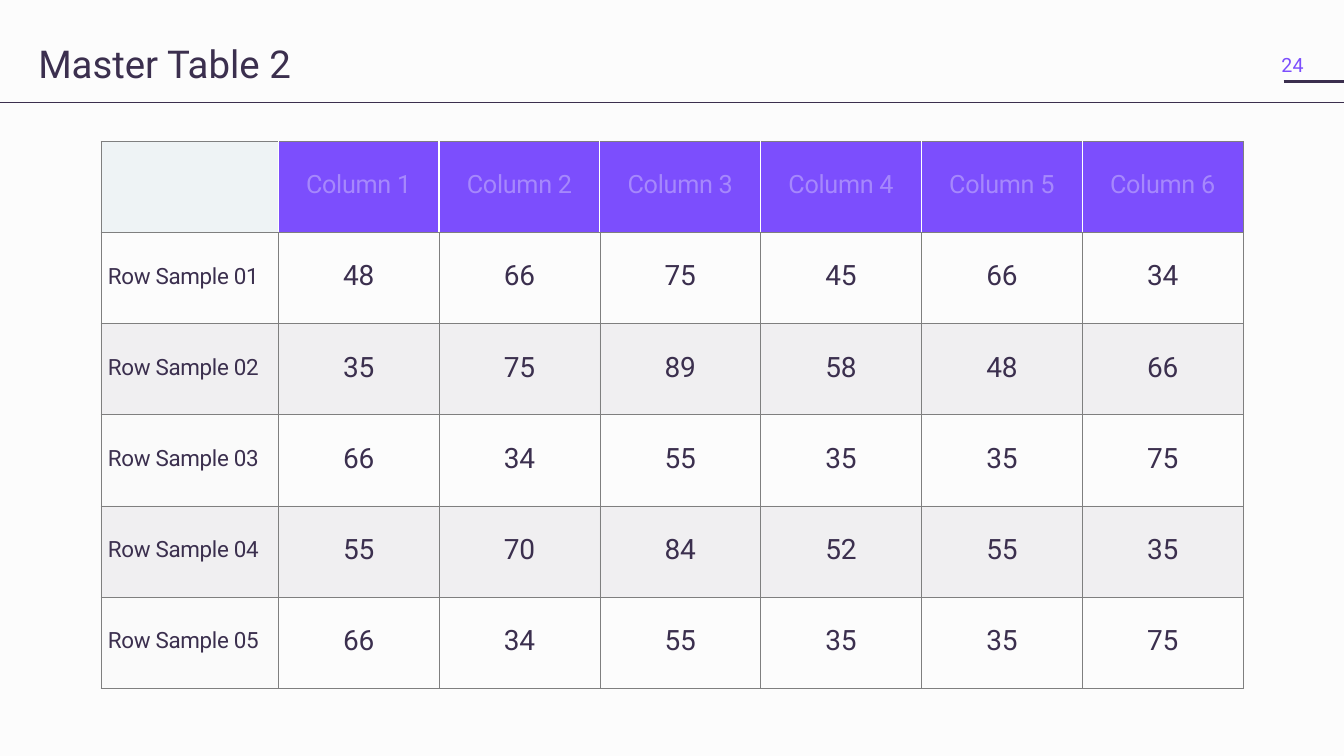
from dataclasses import dataclass

from lxml import etree
from pptx import Presentation
from pptx.dml.color import RGBColor
from pptx.enum import shapes, text
from pptx.oxml import ns
from pptx.util import Inches, Pt

INK = "3B2F4E"
VIOLET = "7C4EFD"
LILAC = "A688FC"
PAPER = "FCFCFC"
GREY = "7F7F7F"
WHITE = "FFFFFF"
PALE = "F2F3F5"
MIST = "EEF3F5"

HEADS = [""] + [f"Column {n}" for n in range(1, 7)]
DATA = [
    [48, 66, 75, 45, 66, 34],
    [35, 75, 89, 58, 48, 66],
    [66, 34, 55, 35, 35, 75],
    [55, 70, 84, 52, 55, 35],
    [66, 34, 55, 35, 35, 75],
]


@dataclass
class Rule:
    left: float
    right: float
    top: float
    width: float


@dataclass
class Look:
    size: float
    color: str
    align: text.PP_ALIGN = text.PP_ALIGN.CENTER
    fill: str | None = None
    alpha: int = 100


RULES = [Rule(12.73, 13.44, 0.81, 2), Rule(0, 13.33, 1.02, 0.5)]


def rgb(code: str) -> RGBColor:
    return RGBColor.from_string(code)


def write(frame, words: str, *, size: float, color: str, inset: float = 0.07,
          align=text.PP_ALIGN.LEFT, anchor=text.MSO_ANCHOR.MIDDLE,
          wrap: bool = True, lead: float = 1, track: float = 0) -> None:
    frame.word_wrap = wrap
    frame.vertical_anchor = anchor
    frame.margin_left = frame.margin_right = Inches(inset)
    frame.margin_top = frame.margin_bottom = Inches(inset)
    para = frame.paragraphs[0]
    para.alignment = align
    para.line_spacing = lead
    run = para.add_run()
    run.text = words
    run.font.name = "Roboto"
    run.font.size = Pt(size)
    run.font.color.rgb = rgb(color)
    if track:
        run.font._element.set("spc", str(round(track * 100)))


def draw_rule(slide, rule: Rule) -> None:
    line = slide.shapes.add_connector(
        shapes.MSO_CONNECTOR.STRAIGHT, Inches(rule.left), Inches(rule.top),
        Inches(rule.right), Inches(rule.top))
    line.line.color.rgb = rgb(INK)
    line.line.width = Pt(rule.width)
    etree.SubElement(line._element.spPr, ns.qn("a:effectLst"))


def add_alpha(parent, share: int) -> None:
    color = next(parent.iter(ns.qn("a:srgbClr")))
    etree.SubElement(color, ns.qn("a:alpha"), val=str(share * 1000))


def edge(cell, side: str, color: str, width: float, alpha: int) -> None:
    props = cell._tc.get_or_add_tcPr()
    line = etree.SubElement(props, ns.qn(f"a:ln{side}"), w=str(Pt(width)))
    solid = etree.SubElement(line, ns.qn("a:solidFill"))
    etree.SubElement(solid, ns.qn("a:srgbClr"), val=color)
    add_alpha(solid, alpha)


def pick_look(row: int, col: int) -> Look:
    if row == 0:
        return Look(18, LILAC, fill=VIOLET if col else MIST)
    look = Look(20, INK) if col else Look(16, INK, text.PP_ALIGN.LEFT)
    if row % 2 == 0:
        look.fill, look.alpha = INK, 6
    elif col == 0 and row > 1:
        look.fill, look.alpha = PALE, 15
    return look


def draw_cell(cell, row: int, col: int, words: str) -> None:
    look = pick_look(row, col)
    last = len(HEADS) - 1
    for side in "LRTB":
        inner = (side == "L" and col > 0) or (side == "R" and col < last)
        if row == 0 and inner:
            edge(cell, side, WHITE, 1, 100)
        else:
            edge(cell, side, GREY, 0.5, 50)
    if look.fill:
        cell.fill.solid()
        cell.fill.fore_color.rgb = rgb(look.fill)
        if look.alpha < 100:
            add_alpha(cell._tc.tcPr.find(ns.qn("a:solidFill")), look.alpha)
    else:
        cell.fill.background()
    cell.vertical_anchor = text.MSO_ANCHOR.MIDDLE
    cell.margin_left = cell.margin_right = Inches(0.07)
    cell.margin_top = cell.margin_bottom = Inches(0.07)
    if words:
        write(cell.text_frame, words, size=look.size, color=look.color,
              align=look.align, lead=0.8, track=-0.2)
        # Cells carry their own insets, anchor and wrapping.
        body = cell.text_frame._txBody.bodyPr
        body.attrib.clear()


def draw_table(slide) -> None:
    rows = [HEADS] + [[f"Row Sample {n:02}", *map(str, vals)]
                      for n, vals in enumerate(DATA, 1)]
    table = slide.shapes.add_table(
        len(rows), len(HEADS), Inches(1), Inches(1.4),
        Inches(11.33), Inches(5.43)).table
    table.first_row = table.horz_banding = False
    for col, column in enumerate(table.columns):
        column.width = Inches(1.595 if col else 1.76)
    for row, cells in enumerate(rows):
        for col, words in enumerate(cells):
            draw_cell(table.cell(row, col), row, col, words)


def main() -> None:
    deck = Presentation()
    deck.slide_width, deck.slide_height = Inches(13.33), Inches(7.5)
    slide = deck.slides.add_slide(deck.slide_layouts[5])
    slide.background.fill.solid()
    slide.background.fill.fore_color.rgb = rgb(PAPER)

    for rule in RULES:
        draw_rule(slide, rule)

    page = slide.shapes.add_textbox(
        Inches(12.64), Inches(0.46), Inches(0.37), Inches(0.36))
    write(page.text_frame, "24", size=14, color=VIOLET, wrap=False)

    title = slide.shapes.title
    title.left, title.top = Inches(0.33), Inches(0.45)
    title.width, title.height = Inches(11.43), Inches(0.54)
    title.text_frame.auto_size = text.MSO_AUTO_SIZE.NONE
    write(title.text_frame, "Master Table 2", size=27.4, color=INK,
          inset=0.05, anchor=text.MSO_ANCHOR.TOP, lead=0.75)

    draw_table(slide)
    deck.save("out.pptx")


if __name__ == "__main__":
    main()
